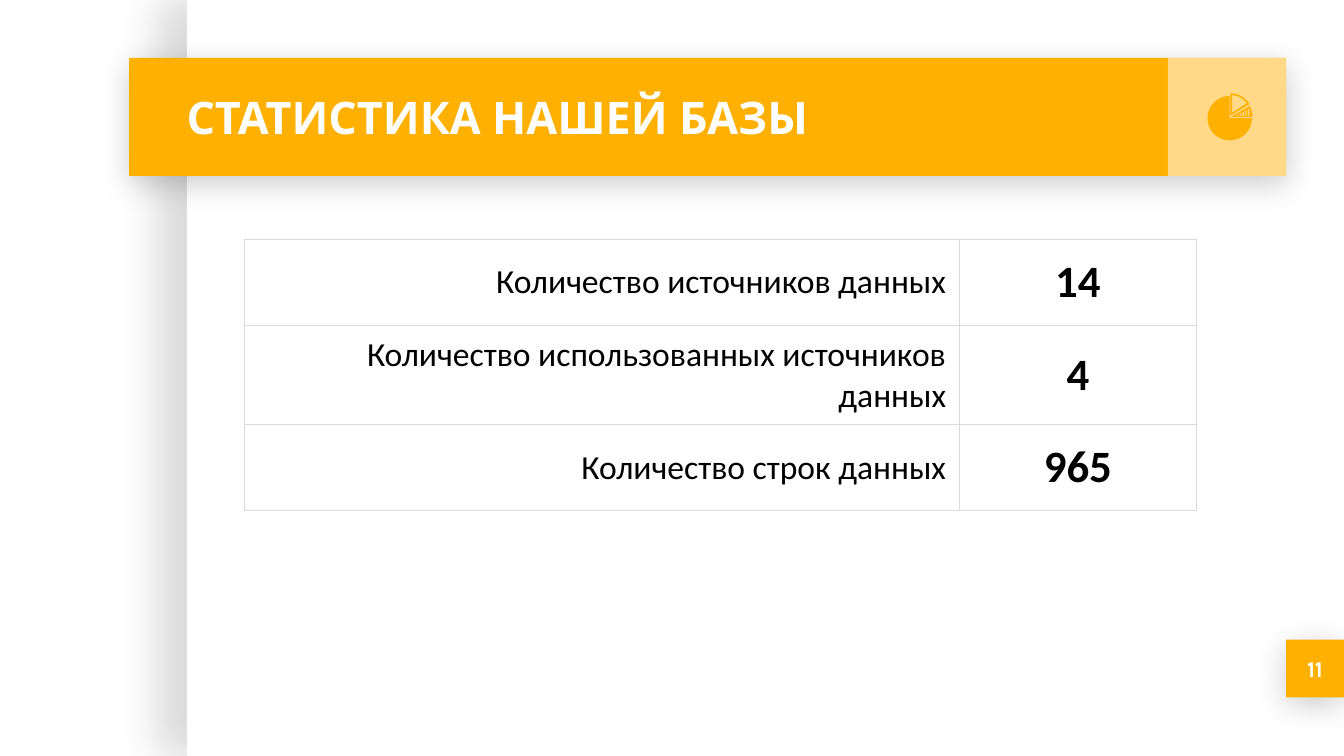
import math
from dataclasses import dataclass

import pptx
import pptx.dml.color
import pptx.enum.shapes
import pptx.enum.text
import pptx.oxml
import pptx.oxml.ns
import pptx.util

ALIGN = pptx.enum.text.PP_ALIGN
CELL = pptx.util.Inches(0.1)
COLUMNS, ROWS = 100, 56.25
PRECISION = 1000


@dataclass(frozen=True)
class Theme:
    accent: str = "FFB000"
    white: str = "FFFFFF"
    ink: str = "000000"
    rule: str = "D9D9D9"
    heading_font: str = "Karla"
    body_font: str = "Calibri"
    large: int = 24
    body: int = 18
    small: int = 12
    rule_width: float = 0.75


def grid(cells):
    return pptx.util.Emu(round(cells * CELL))


def colour(value):
    return pptx.dml.color.RGBColor.from_string(value)


def element(xml):
    return pptx.oxml.parse_xml(xml.replace(" ", f' {pptx.oxml.ns.nsdecls("a")} ', 1))


def arc(x, y, radius, start, end, steps=16):
    angles = [math.radians(start + (end - start) * i / steps) for i in range(steps + 1)]
    return [(x + radius * math.cos(a), y + radius * math.sin(a)) for a in angles]


class Slide:
    def __init__(self, deck, theme):
        self.theme = theme
        self.page = deck.slides.add_slide(deck.slide_layouts[6])

    def paint(self, shape, fill):
        shape.shadow.inherit = False
        shape.fill.solid()
        shape.fill.fore_color.rgb = colour(fill)
        shape.line.fill.background()

    def panel(self, left, top, width, height, fill, opacity=100, shadow=None):
        box = self.page.shapes.add_shape(
            pptx.enum.shapes.MSO_SHAPE.RECTANGLE, *map(grid, (left, top, width, height)))
        self.paint(box, fill)
        properties = box.element.spPr
        if opacity < 100:
            tint = properties.find(".//" + pptx.oxml.ns.qn("a:srgbClr"))
            tint.append(element(f'<a:alpha val="{opacity * 1000}"/>'))
        if shadow:
            alpha, blur, distance, angle = shadow
            properties.find(pptx.oxml.ns.qn("a:effectLst")).append(element(
                f'<a:outerShdw blurRad="{pptx.util.Pt(blur)}" dist="{pptx.util.Pt(distance)}" '
                f'dir="{angle * 60000}" algn="bl" rotWithShape="0">'
                f'<a:srgbClr val="{self.theme.ink}"><a:alpha val="{alpha * 1000}"/>'
                '</a:srgbClr></a:outerShdw>'))
        return box

    def set_text(self, frame, text, size, font, ink, align, bold):
        frame.text = text
        para = frame.paragraphs[0]
        para.alignment = align
        for span in para.runs:
            span.font.name = font
            span.font.size = pptx.util.Pt(size)
            span.font.bold = bold
            span.font.color.rgb = colour(ink)

    def heading(self, box, text, size, align=ALIGN.LEFT, wrap=True):
        frame = box.text_frame
        frame.word_wrap = wrap
        frame.vertical_anchor = pptx.enum.text.MSO_ANCHOR.MIDDLE
        frame.margin_left = frame.margin_right = grid(1)
        frame.margin_top = frame.margin_bottom = grid(1)
        self.set_text(frame, text, size, self.theme.heading_font, self.theme.white, align, True)

    def text_box(self, left, top, width, height):
        return self.page.shapes.add_textbox(*map(grid, (left, top, width, height)))

    def table(self, left, top, widths, row_height, records):
        theme = self.theme
        table = self.page.shapes.add_table(
            len(records), len(widths), grid(left), grid(top),
            grid(sum(widths)), grid(row_height * len(records))).table
        table.first_row = table.horz_banding = False
        for column, width in zip(table.columns, widths):
            column.width = grid(width)
        styles = ((theme.body, ALIGN.RIGHT, False), (theme.large, ALIGN.CENTER, True))
        for row, record in enumerate(records):
            for column, (text, (size, align, bold)) in enumerate(zip(record, styles)):
                cell = table.cell(row, column)
                cell.vertical_anchor = pptx.enum.text.MSO_ANCHOR.MIDDLE
                cell.margin_left = cell.margin_right = grid(1)
                cell.margin_top = cell.margin_bottom = grid(0.7)
                self.set_text(cell.text_frame, text, size, theme.body_font, theme.ink, align, bold)
                self.borders(cell)
                cell.fill.background()

    def borders(self, cell):
        properties = cell._tc.get_or_add_tcPr()
        for side in "LRTB":
            properties.append(element(
                f'<a:ln{side} w="{pptx.util.Pt(self.theme.rule_width)}"><a:solidFill>'
                f'<a:srgbClr val="{self.theme.rule}"/></a:solidFill></a:ln{side}>'))

    def outline(self, *contours):
        first, *others = [[(x * PRECISION, y * PRECISION) for x, y in points]
                          for points in contours]
        builder = self.page.shapes.build_freeform(*first[0], scale=CELL / PRECISION)
        builder.add_line_segments(first[1:], close=True)
        for points in others:
            builder.move_to(*points[0])
            builder.add_line_segments(points[1:], close=True)
        self.paint(builder.convert_to_shape(), self.theme.accent)

    def pie_icon(self, x, y):
        self.outline([(x, y), *arc(x, y, 1.65, 0, 270, 48)])
        bars = []
        for i in range(5):
            near, far, base = x + 0.55 + 0.2 * i, x + 0.67 + 0.2 * i, y - 0.18
            bars.append([(near, base), (near, base - 0.07 - 0.1 * i),
                         (far, base - 0.13 - 0.1 * i), (far, base)])
        self.outline([(x + 0.1, y - 0.1), *arc(x + 0.1, y - 0.1, 1.6, -30, 0)], *bars)
        slice_x, slice_y = x + 0.05, y - 0.2
        self.outline([(slice_x, slice_y), *arc(slice_x, slice_y, 1.65, -90, -31)],
                     [(slice_x + 0.12, slice_y - 0.2),
                      *arc(slice_x, slice_y, 1.53, -85.5, -37)])


def main():
    theme = Theme()
    deck = pptx.Presentation()
    deck.slide_width, deck.slide_height = grid(COLUMNS), grid(ROWS)
    slide = Slide(deck, theme)

    margin, unit, band = 13.9, 4.3, 8.8
    right = COLUMNS - unit
    lift = (20, 16.9, 3.8, 90)
    slide.panel(margin, 0, COLUMNS - margin, ROWS, theme.white, shadow=(15, 22.5, 15, 180))
    number = slide.panel(right, 47.6, unit, unit, theme.accent, shadow=lift)
    slide.panel(margin - unit, unit, right - margin + unit, band, theme.accent, shadow=lift)
    slide.panel(right - band, unit, band, band, theme.white, opacity=53)

    title = slide.text_box(margin - 1, unit, 73.7, band)
    slide.heading(title, "СТАТИСТИКА НАШЕЙ БАЗЫ", theme.large)
    slide.table(18.2, 17.8, (53.2, 17.6), 6.4, (
        ("Количество источников данных", "14"),
        ("Количество использованных источников данных", "4"),
        ("Количество строк данных", "965"),
    ))
    slide.heading(number, "11", theme.small, ALIGN.CENTER, wrap=False)
    slide.pie_icon(right - band / 2 + 0.2, unit + band / 2 + 0.1)

    deck.save("out.pptx")


if __name__ == "__main__":
    main()
